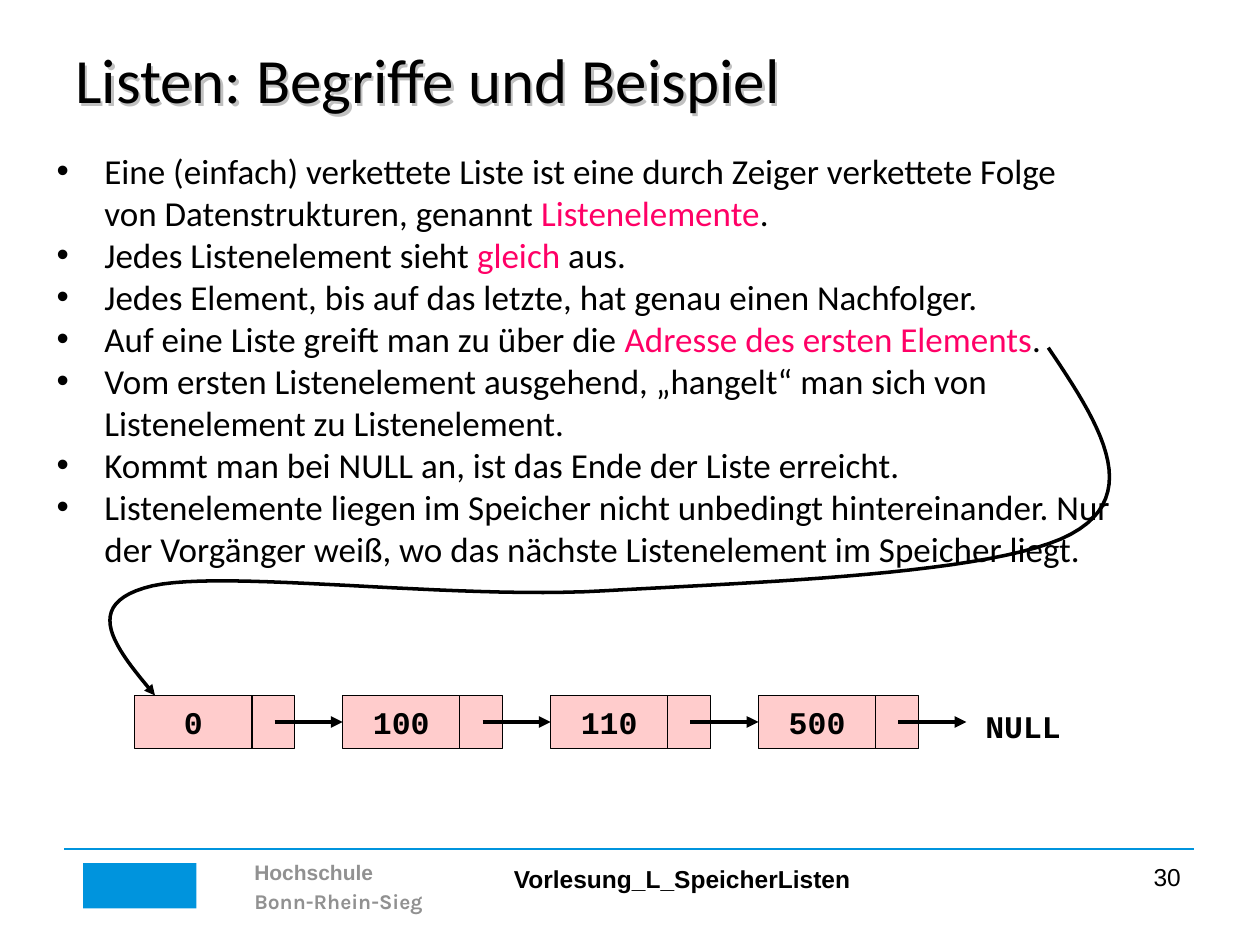
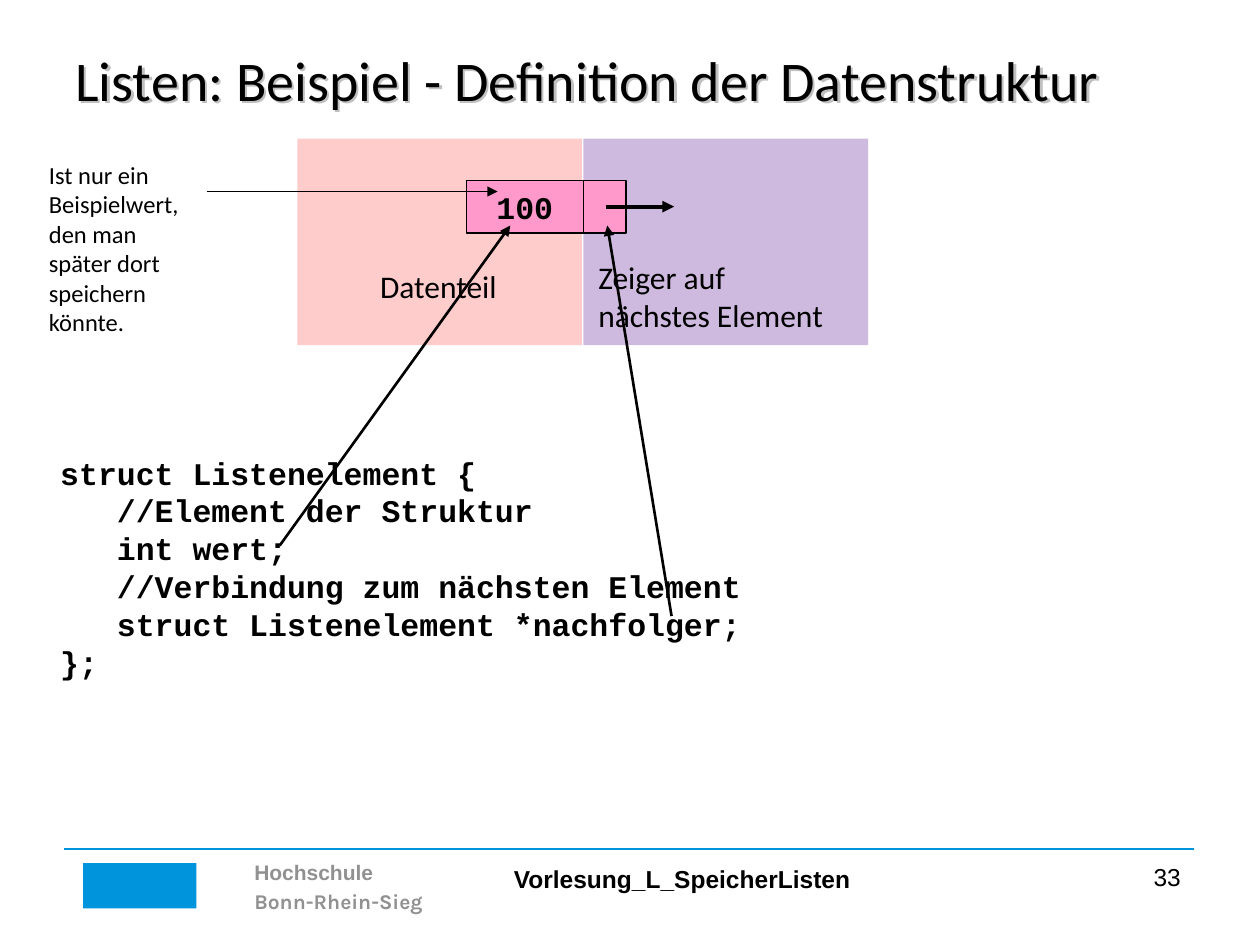
import pptx
import pptx.util
import pptx.dml.color
import pptx.enum.shapes
import pptx.enum.text
import pptx.oxml
import pptx.oxml.ns

Inches = pptx.util.Inches
Pt = pptx.util.Pt
SHAPE = pptx.enum.shapes.MSO_SHAPE
ALIGN = pptx.enum.text.PP_ALIGN
ANCHOR = pptx.enum.text.MSO_ANCHOR

# Shared look
BLACK, WHITE, BLUE, GREY = "000000", "FFFFFF", "0094DD", "919191"
ROSE, PINK, RED, PURPLE = "FFCCCC", "FF99CC", "FF0066", "7030A0"
SANS, CODE, FOOT = "Calibri", "Courier New", "Arial"
LECTURE = "Vorlesung_L_SpeicherListen"

# Runs are text, (text, colour) or (text, colour, font)
SCHOOL = [["Hochschule"], [("Bonn-Rhein-Sieg", GREY, "Karla")]]

# Content of the terms slide
TERMS = [
    ["Eine (einfach) verkettete Liste ist eine durch Zeiger verkettete Folge "
     "von Datenstrukturen, genannt ", ("Listenelemente", RED), "."],
    ["Jedes Listenelement sieht ", ("gleich", RED), " aus."],
    ["Jedes Element, bis auf das letzte, hat genau einen Nachfolger."],
    ["Auf eine Liste greift man zu über die ",
     ("Adresse des ersten Elements", RED), "."],
    ["Vom ersten Listenelement ausgehend, „hangelt“ man sich von "
     "Listenelement zu Listenelement."],
    ["Kommt man bei NULL an, ist das Ende der Liste erreicht."],
    ["Listenelemente liegen im Speicher nicht unbedingt hintereinander. Nur "
     "der Vorgänger weiß, wo das nächste Listenelement im Speicher liegt."],
]
VALUES = ["0", "100", "110", "500"]
START = (8.32, 2.76)
CURVE = [
    [(8.71, 3.34), (9.09, 3.92), (8.5, 4.24)],
    [(7.91, 4.56), (6.01, 4.62), (4.79, 4.69)],
    [(3.58, 4.76), (1.8, 4.52), (1.21, 4.65)],
    [(0.62, 4.79), (0.92, 5.15), (1.23, 5.52)],
]

# Content of the structure slide
STRUCT = [
    "struct Listenelement {",
    "   //Element der Struktur",
    "   int wert;",
    "   //Verbindung zum nächsten Element",
    "   struct Listenelement *nachfolger;",
    "};",
]
NOTE = ["Ist nur ein Beispielwert,", "den man später dort speichern könnte."]
LINKS = [((2.22, 4.33), (4.05, 1.79), 1.5),
         ((5.33, 4.89), (4.82, 1.79), 1.5),
         ((1.64, 1.52), (3.95, 1.52), 0.75)]

# Node measures
NODE_W, CELL_W, NODE_H, SHIFT = 1.24, 0.93, 0.42, 0.03
TAIL_X, TAIL_W = 1.11, 0.54
ROW_X, ROW_Y, STEP = 1.07, 5.52, 1.65


def rgb(code):
    return pptx.dml.color.RGBColor.from_string(code)


def xml(tag, inner="", **attrs):
    pairs = " ".join(f'{key}="{val}"' for key, val in attrs.items())
    space = pptx.oxml.ns.nsdecls("a")
    return pptx.oxml.parse_xml(f"<a:{tag} {space} {pairs}>{inner}</a:{tag}>")


def write(frame, lines, size, font=SANS, color=BLACK, bold=False,
          align=ALIGN.LEFT, bullet=False, spacing=None):
    """Fill a frame; each line is a string or a list of runs."""
    for num, line in enumerate(lines):
        para = frame.paragraphs[0] if num == 0 else frame.add_paragraph()
        para.alignment = align
        para.line_spacing = spacing
        if bullet:
            props = para._p.get_or_add_pPr()
            props.set("marL", str(Inches(0.38)))
            props.set("indent", str(-Inches(0.38)))
            props.append(xml("buFont", typeface="Arial"))
            props.append(xml("buChar", char="•"))
        for part in [line] if isinstance(line, str) else line:
            part = (part, color) if isinstance(part, str) else part
            text, tint, face = (*part, font)[:3]
            run = para.add_run()
            run.text = text
            run.font.size = Pt(size)
            run.font.name = face
            run.font.bold = bold
            run.font.color.rgb = rgb(tint)


def label(slide, at, lines, size, wrap=True, anchor=ANCHOR.TOP, **style):
    box = slide.shapes.add_textbox(*map(Inches, at))
    box.text_frame.word_wrap = wrap
    box.text_frame.vertical_anchor = anchor
    write(box.text_frame, lines, size, **style)
    return box


def block(slide, at, fill, line=None, alpha=None):
    shape = slide.shapes.add_shape(SHAPE.RECTANGLE, *map(Inches, at))
    shape.shadow.inherit = False
    shape.fill.solid()
    shape.fill.fore_color.rgb = rgb(fill)
    if alpha:
        color = shape._element.spPr.find(".//" + pptx.oxml.ns.qn("a:srgbClr"))
        color.append(xml("alpha", val=alpha * 1000))
    if line:
        shape.line.color.rgb = rgb(line)
        shape.line.width = Pt(0.75)
    else:
        shape.line.fill.background()
    return shape


def ink(shape, color, width, arrow):
    shape.line.color.rgb = rgb(color)
    shape.line.width = Pt(width)
    if arrow:
        shape.line._get_or_add_ln().append(xml("tailEnd", type="triangle"))


def link(slide, start, end, width, color=BLACK, arrow=True):
    line = slide.shapes.add_connector(
        pptx.enum.shapes.MSO_CONNECTOR.STRAIGHT, *map(Inches, start + end))
    ink(line, color, width, arrow)
    line._element.spPr.append(xml("effectLst"))
    return line


def node(slide, x, y, value, fill):
    """A list element: the pointer part lies behind the value cell."""
    block(slide, (x + SHIFT, y, NODE_W, NODE_H), fill, BLACK)
    cell = block(slide, (x, y, CELL_W, NODE_H), fill, BLACK)
    cell.text_frame.word_wrap = False
    cell.text_frame.vertical_anchor = ANCHOR.MIDDLE
    write(cell.text_frame, [value], 18, CODE, bold=True, align=ALIGN.CENTER)
    return cell


def tail(slide, x, y):
    mid = y + NODE_H / 2
    return link(slide, (x + TAIL_X, mid), (x + TAIL_X + TAIL_W, mid), 2.25)


def swing(slide, start, curve, steps=24):
    """Trace cubic Bezier pieces as one open outline with an arrowhead."""
    dots, last = [], start
    for one, two, end in curve:
        for num in range(1, steps + 1):
            t = num / steps
            u = 1 - t
            dots.append(tuple(
                Inches(u**3 * a + 3 * u * u * t * b + 3 * u * t * t * c
                       + t**3 * d)
                for a, b, c, d in zip(last, one, two, end)))
        last = end
    # Points are whole EMU, as the builder rounds them
    form = slide.shapes.build_freeform(*map(Inches, start))
    form.add_line_segments(dots, close=False)
    shape = form.convert_to_shape()
    shape.shadow.inherit = False
    shape.fill.background()
    ink(shape, BLACK, 2, True)


def page(deck, title, size, number):
    """A slide with the shared footer and the shadowed title."""
    slide = deck.slides.add_slide(deck.slide_layouts[6])
    block(slide, (0.66, 6.85, 0.9, 0.36), BLUE)
    label(slide, (1.92, 6.74, 2.53, 0.56), SCHOOL, 12, font=FOOT, color=GREY,
          bold=True, spacing=1.15)
    link(slide, (0.51, 6.74), (9.48, 6.74), 1, BLUE, arrow=False)
    label(slide, (3.98, 6.81, 2.87, 0.33), [LECTURE], 14, wrap=False,
          font=FOOT, bold=True)
    label(slide, (7.28, 6.79, 2.19, 0.37), [number], 14, font=FOOT,
          align=ALIGN.RIGHT)
    head = label(slide, (0.5, 0.28, 9, 0.69), [title], size,
                 anchor=ANCHOR.MIDDLE)
    # The box has no fill, so its shadow falls from the letters
    shade = ('<a:outerShdw dist="25400" dir="2700000">'
             '<a:srgbClr val="C0C0C0"/></a:outerShdw>')
    head._element.spPr.append(xml("effectLst", shade))
    return slide


def terms(deck):
    slide = page(deck, "Listen: Begriffe und Beispiel", 36, "30")
    body = label(slide, (0.35, 1.14, 8.58, 3.47), TERMS, 20, bullet=True)
    body.fill.solid()
    body.fill.fore_color.rgb = rgb(WHITE)

    # Linked list: each pointer ends at the next value cell
    spots = [ROW_X + STEP * num for num in range(len(VALUES))]
    cells = [node(slide, x, ROW_Y, value, ROSE)
             for x, value in zip(spots, VALUES)]
    tails = [tail(slide, x, ROW_Y) for x in spots]
    for line, cell in zip(tails, cells[1:]):
        line.end_connect(cell, 1)
    label(slide, (7.72, 5.56, 0.8, 0.4), ["NULL"], 18, wrap=False, font=CODE,
          bold=True, align=ALIGN.CENTER)
    swing(slide, START, CURVE)


def struct(deck):
    slide = page(deck, "Listen: Beispiel - Definition der Datenstruktur",
                 32, "33")
    # Data part and pointer part behind the element
    block(slide, (4.63, 1.1, 2.26, 1.64), PURPLE, alpha=33)
    block(slide, (2.36, 1.1, 2.26, 1.64), ROSE)
    node(slide, 3.7, 1.43, "100", PINK)
    tail(slide, 3.7, 1.43)
    label(slide, (2.91, 2.07, 1.14, 0.4), ["Datenteil"], 18, wrap=False,
          align=ALIGN.CENTER)
    label(slide, (4.65, 2, 2.01, 0.71), ["Zeiger auf", "nächstes Element"],
          18, wrap=False)

    # Code, note and arrows
    code = label(slide, (0.38, 3.55, 5.63, 2.22), STRUCT, 18, wrap=False,
                 font=CODE, bold=True)
    code.fill.solid()
    code.fill.fore_color.rgb = rgb(WHITE)
    label(slide, (0.29, 1.22, 1.24, 1.51), NOTE, 14)
    for start, end, width in LINKS:
        link(slide, start, end, width)


def main():
    deck = pptx.Presentation()
    deck.slide_width, deck.slide_height = Inches(10), Inches(7.5)
    terms(deck)
    struct(deck)
    deck.save("out.pptx")


if __name__ == "__main__":
    main()
